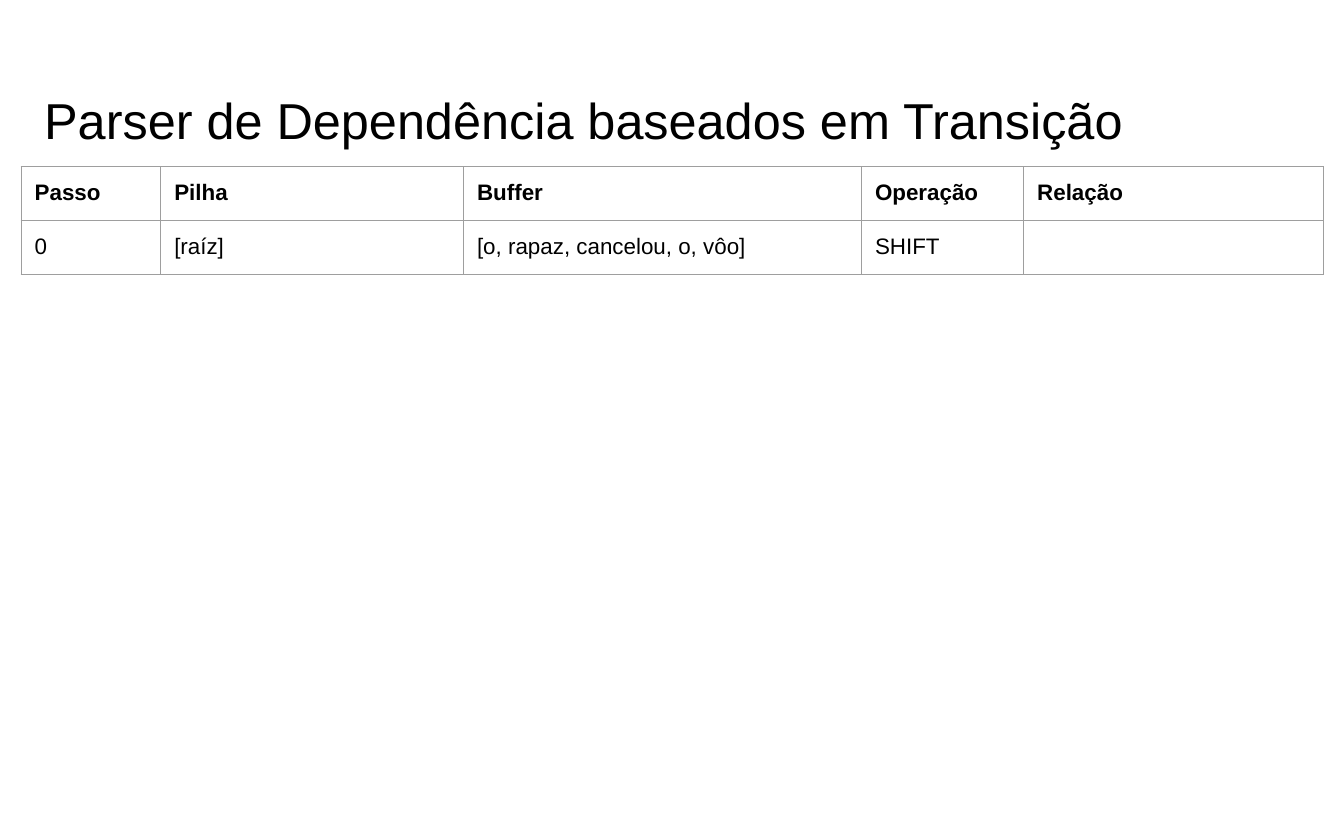
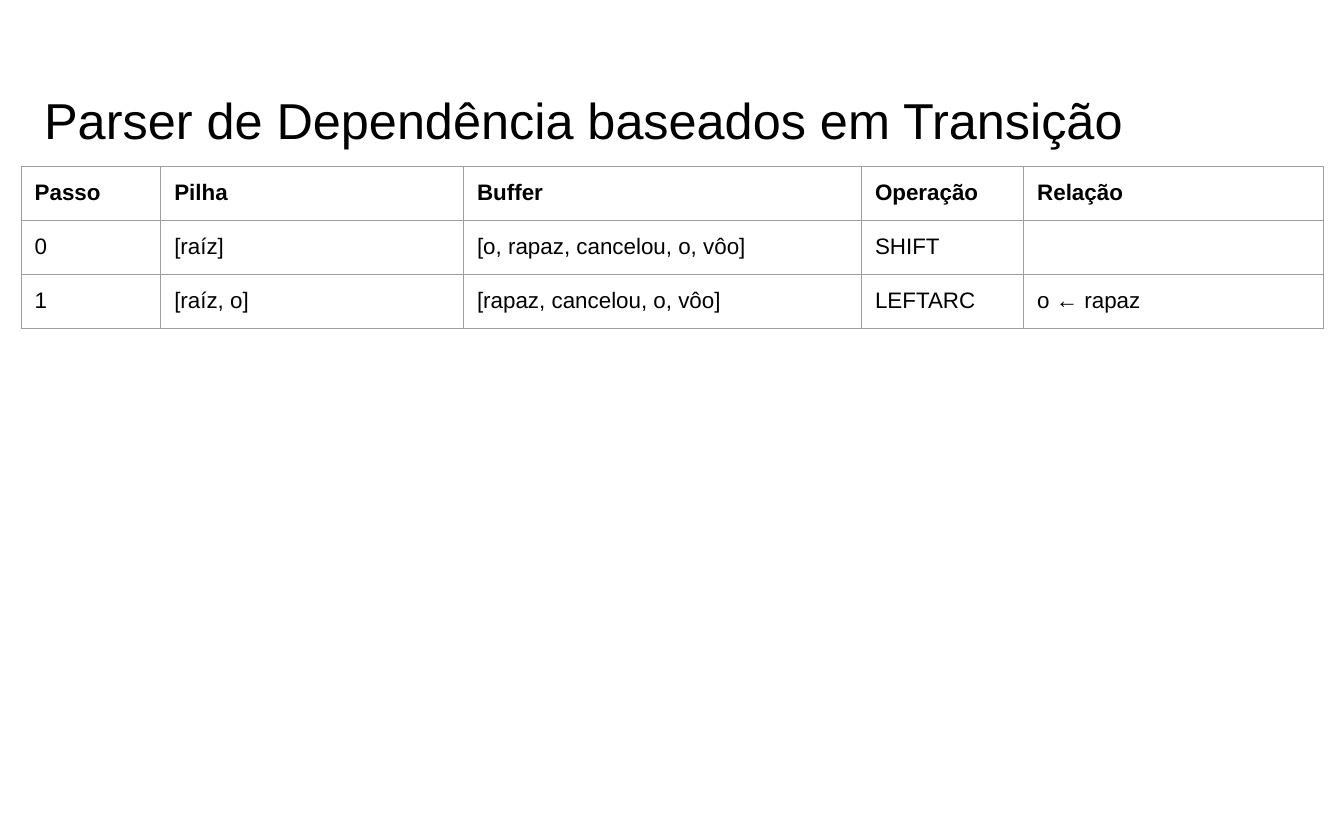
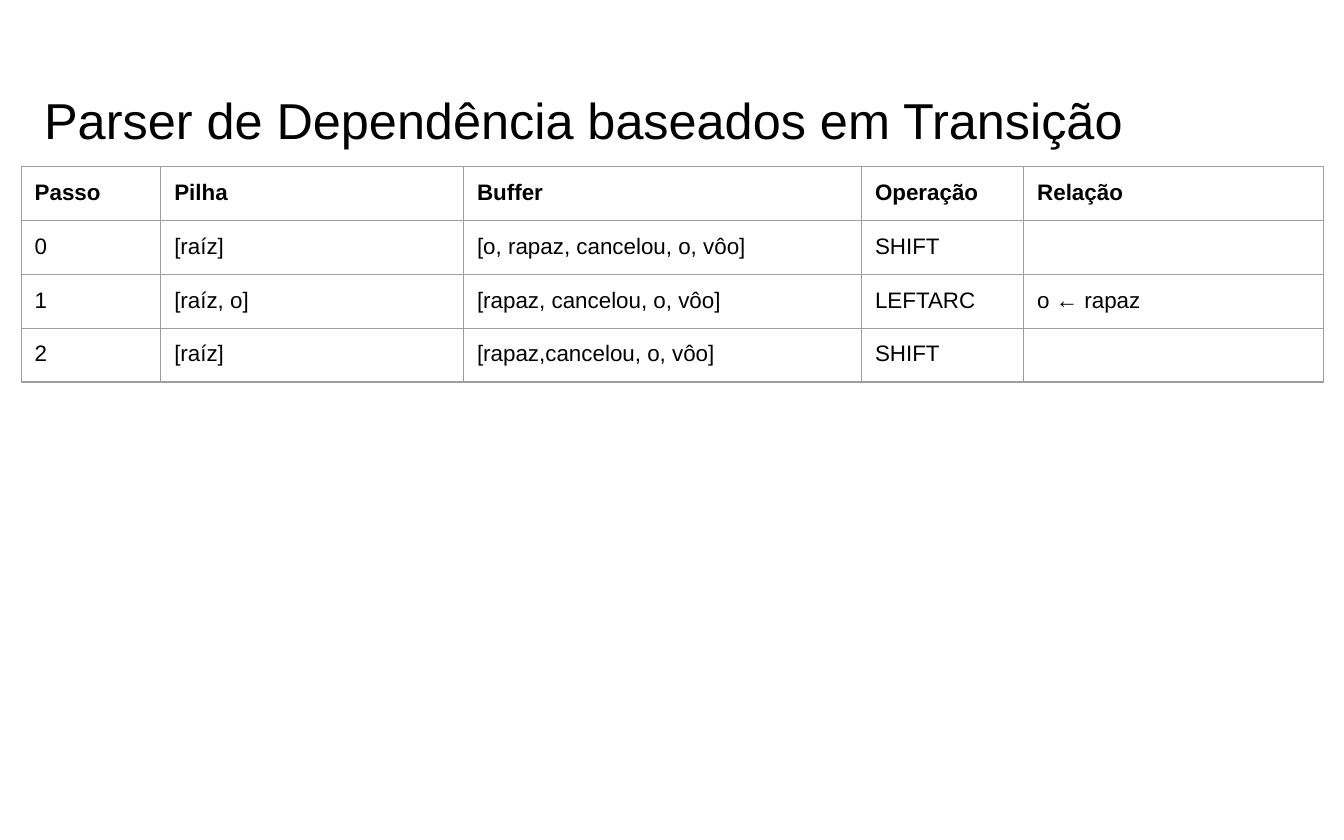
from dataclasses import astuple, dataclass

from lxml import etree
from pptx import Presentation
from pptx.dml.color import RGBColor
from pptx.enum.text import MSO_ANCHOR
from pptx.oxml.ns import qn
from pptx.slide import Slide
from pptx.table import _Cell
from pptx.text.text import TextFrame
from pptx.util import Pt

MIDDLE, TOP = MSO_ANCHOR.MIDDLE, MSO_ANCHOR.TOP

BLACK = RGBColor(0x00, 0x00, 0x00)
GRID_GREY = RGBColor(0x9E, 0x9E, 0x9E)
FONT = "Arial"
TITLE_SIZE, CELL_SIZE = Pt(27), Pt(12)
INSET = Pt(7.2)
GRID_WIDTH = Pt(0.75)

TITLE = "Parser de Dependência baseados em Transição"
TABLE_LEFT, TABLE_TOP = Pt(11.4), Pt(89.28)
COLUMN_WIDTHS = [Pt(width) for width in (74.8, 162.2, 213.2, 86.9, 160.4)]
MIN_ROW_HEIGHT = Pt(20.16)  # rows grow to fit their text
ROW_SPACE = Pt(28.8)


@dataclass(frozen=True)
class ParserStep:
    number: str
    stack: str
    buffer: str
    operation: str
    relation: str = ""


HEADER = ParserStep("Passo", "Pilha", "Buffer", "Operação", "Relação")
STEPS = [
    ParserStep("0", "[raíz]", "[o, rapaz, cancelou, o, vôo]", "SHIFT"),
    ParserStep("1", "[raíz, o]", "[rapaz, cancelou, o, vôo]", "LEFTARC", "o ← rapaz"),
    ParserStep("2", "[raíz]", "[rapaz,cancelou, o, vôo]", "SHIFT"),
]


def write_text(frame: TextFrame, text: str, *, size: Pt, bold: bool = False) -> None:
    """Write one formatted paragraph; an empty one still keeps its text size."""
    paragraph = frame.paragraphs[0]
    if not text:
        end_format = etree.SubElement(paragraph._p, qn("a:endParaRPr"))
        end_format.set("sz", str(int(size.pt * 100)))
        return
    run = paragraph.add_run()
    run.text = text
    run.font.name = FONT
    run.font.size = size
    run.font.bold = bold
    run.font.color.rgb = BLACK


def set_insets(box: TextFrame | _Cell) -> None:
    box.margin_left = box.margin_right = INSET
    box.margin_top = box.margin_bottom = INSET


def add_borders(cell: _Cell) -> None:
    properties = cell._tc.get_or_add_tcPr()
    for position, side in enumerate(("lnL", "lnR", "lnT", "lnB")):
        line = etree.Element(qn(f"a:{side}"), w=str(GRID_WIDTH))
        fill = etree.SubElement(line, qn("a:solidFill"))
        etree.SubElement(fill, qn("a:srgbClr"), val=str(GRID_GREY))
        properties.insert(position, line)


def add_title(slide: Slide) -> None:
    title = slide.shapes.add_textbox(Pt(16.56), Pt(38.88), Pt(671), Pt(50.4))
    frame = title.text_frame
    frame.word_wrap = True
    frame.vertical_anchor = MIDDLE
    set_insets(frame)
    write_text(frame, TITLE, size=TITLE_SIZE)


def add_step_table(slide: Slide, steps: list[ParserStep]) -> None:
    rows = [HEADER, *steps]
    table_height = ROW_SPACE * len(rows)
    table_frame = slide.shapes.add_table(
        len(rows), len(COLUMN_WIDTHS), TABLE_LEFT, TABLE_TOP,
        sum(COLUMN_WIDTHS), table_height)
    table = table_frame.table
    table.first_row = table.horz_banding = False
    for column, width in zip(table.columns, COLUMN_WIDTHS):
        column.width = width
    for row, step in zip(table.rows, rows):
        row.height = MIN_ROW_HEIGHT
        for cell, text in zip(row.cells, astuple(step)):
            cell.fill.background()
            cell.vertical_anchor = TOP
            set_insets(cell)
            add_borders(cell)
            write_text(cell.text_frame, text, size=CELL_SIZE, bold=step is HEADER)
    table_frame.height = table_height


def main() -> None:
    deck = Presentation()
    deck.slide_width, deck.slide_height = Pt(720), Pt(450)
    blank_layout = deck.slide_layouts[6]
    for step_count in range(1, len(STEPS) + 1):
        slide = deck.slides.add_slide(blank_layout)
        add_title(slide)
        add_step_table(slide, STEPS[:step_count])
    deck.save("out.pptx")


if __name__ == "__main__":
    main()
